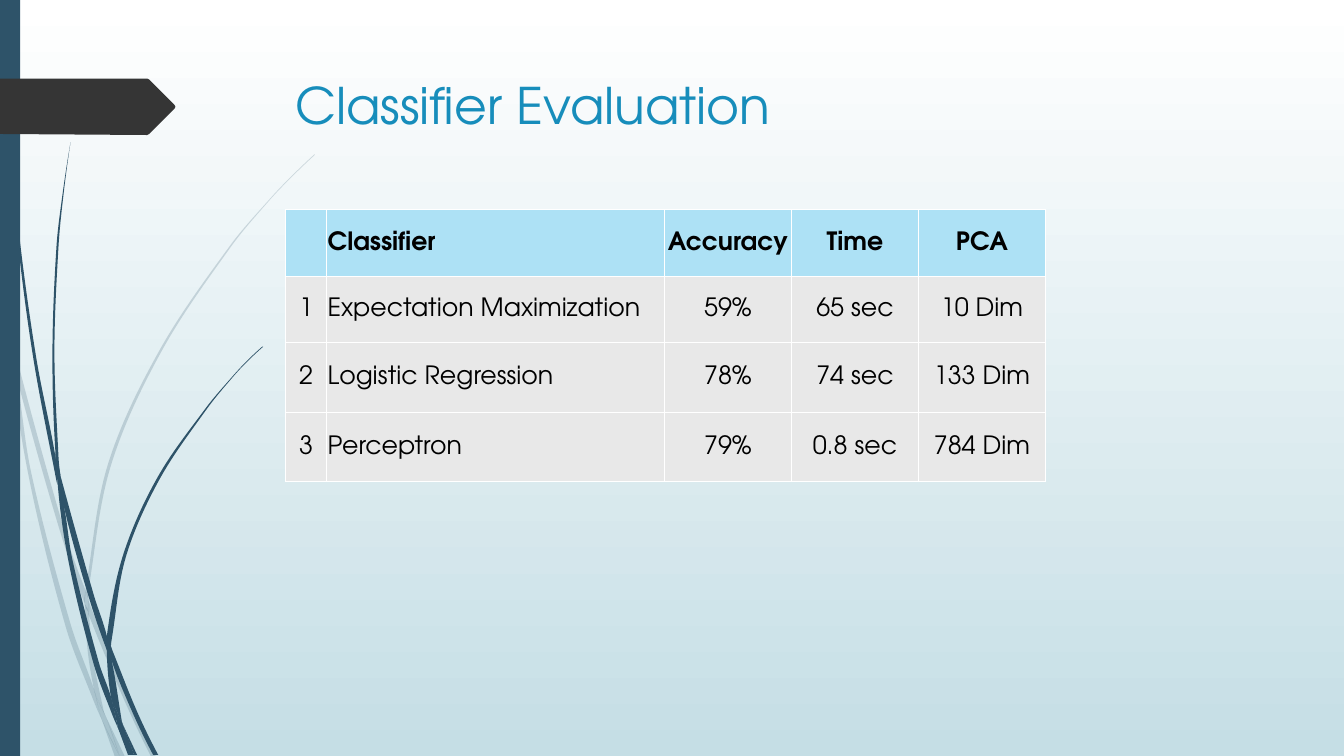
from math import dist

from lxml import etree
from pptx import Presentation
from pptx.dml.color import RGBColor
from pptx.enum.shapes import MSO_SHAPE
from pptx.enum.text import MSO_ANCHOR, PP_ALIGN
from pptx.oxml.ns import qn
from pptx.util import Inches, Pt

RECT = MSO_SHAPE.RECTANGLE
MIDDLE, TOP = MSO_ANCHOR.MIDDLE, MSO_ANCHOR.TOP
LEFT, CENTER = PP_ALIGN.LEFT, PP_ALIGN.CENTER
WIDE, HIGH = 13.33, 7.5
FONT = "TeX Gyre Adventor"
NAVY, COAL, BLUE, SKY, GREY = "2E5369", "353535", "178DBB", "ADE1F5", "E8E8E8"
WHITE, BLACK, MIST = "FFFFFF", "000000", "C5DEE5"

# Each blade of grass: its two edges, both read in the same direction
PALE = [
    ([(0, 2.82), (0.09, 3.22), (0.11, 3.5)], [(0, 2.99), (0.1, 3.44), (0.11, 3.5)]),
    ([(0.14, 3.45), (0.62, 5.2), (0.85, 5.86)], [(0.17, 3.76), (0.58, 5.22), (0.84, 5.99)]),
    ([(0.88, 5.96), (0.92, 6.07), (1.27, 6.92), (1.55, 7.51)],
     [(0.88, 6.1), (1.23, 6.94), (1.5, 7.51)]),
    ([(1.05, 7.11), (1.24, 7.51)], [(1.05, 7.11), (1.19, 7.51)]),
    ([(0.11, 3.5), (0.17, 3.76), (0.31, 4.69), (0.7, 6.19), (0.93, 6.83), (0.99, 7.07), (1.01, 7.14)],
     [(0.11, 3.5), (0.28, 4.7), (0.65, 6.21), (0.92, 6.93), (1.01, 7.14)]),
    ([(0.84, 5.99), (0.88, 6.08), (0.91, 6.46), (1.03, 7.06), (1.05, 7.11)],
     [(0.84, 5.99), (0.87, 6.46), (0.93, 6.83), (0.96, 6.92), (1.05, 7.11)]),
    ([(3.12, 1.54), (2.9, 1.75), (2.68, 1.98), (2.29, 2.45), (1.6, 3.49), (1.1, 4.62),
      (0.88, 5.84), (0.88, 5.96)],
     [(3.12, 1.53), (2.89, 1.75), (2.68, 1.97), (2.28, 2.44), (1.58, 3.48), (1.07, 4.61),
      (0.85, 5.84), (0.85, 5.86)]),
    ([(1.01, 7.14), (1.19, 7.51)], [(1.01, 7.14), (1.14, 7.51)]),
    ([(0.85, 5.86), (0.88, 5.96), (0.88, 6.1)], [(0.85, 5.86), (0.84, 5.99), (0.88, 6.08)]),
    ([(0.93, 6.83), (0.96, 6.92), (1.05, 7.11), (1.19, 7.51)],
     [(0.93, 6.83), (0.99, 7.07), (1.01, 7.14), (1.19, 7.51)]),
]
DARK = [
    ([(0.04, 0), (0.05, 0.48), (0.08, 1.09), (0.19, 2.32), (0.36, 3.55), (0.55, 4.53), (0.57, 4.81)],
     [(0.03, 0), (0.04, 0.48), (0.07, 1.1), (0.17, 2.33), (0.33, 3.55), (0.56, 4.77), (0.57, 4.81)]),
    ([(0.6, 4.72), (0.93, 5.9), (1.06, 6.31), (1.06, 6.45)],
     [(0.6, 4.72), (0.64, 5.05), (0.88, 5.92), (1.06, 6.45)]),
    ([(1.1, 6.41), (1.13, 6.49), (1.36, 7.06), (1.57, 7.49)],
     [(1.1, 6.41), (1.11, 6.56), (1.32, 7.08), (1.52, 7.49)]),
    ([(0.57, 4.77), (0.64, 5.05), (0.72, 5.56), (0.98, 6.57), (1.1, 6.91), (1.16, 7.17), (1.17, 7.22)],
     [(0.57, 4.77), (0.68, 5.57), (0.93, 6.59), (1.11, 7.08), (1.17, 7.22)]),
    ([(0.7, 1.41), (0.63, 1.93), (0.58, 2.45), (0.54, 3.49), (0.58, 4.53), (0.6, 4.72)],
     [(0.7, 1.41), (0.62, 1.93), (0.56, 2.45), (0.52, 3.49), (0.55, 4.49), (0.6, 4.72)]),
    ([(1.22, 7.19), (1.36, 7.49)], [(1.22, 7.19), (1.33, 7.49)]),
    ([(0.55, 4.49), (0.6, 4.72), (0.64, 5.05)], [(0.55, 4.49), (0.57, 4.77), (0.64, 5.05)]),
    ([(2.61, 3.44), (2.45, 3.59), (2.31, 3.74), (2.05, 4.06), (1.58, 4.76), (1.25, 5.52),
      (1.11, 6.33), (1.1, 6.41)],
     [(2.6, 3.44), (2.45, 3.58), (2.31, 3.73), (2.04, 4.05), (1.56, 4.74), (1.22, 5.51),
      (1.06, 6.31), (1.1, 6.41)]),
    ([(1.17, 7.22), (1.31, 7.49)], [(1.17, 7.22), (1.27, 7.49)]),
    ([(1.06, 6.45), (1.11, 6.56), (1.21, 7.16), (1.22, 7.19)],
     [(1.06, 6.45), (1.1, 6.91), (1.16, 7.06), (1.22, 7.19)]),
    ([(1.06, 6.31), (1.1, 6.41), (1.11, 6.56)], [(1.06, 6.31), (1.06, 6.45), (1.11, 6.56)]),
    ([(1.1, 6.91), (1.16, 7.06), (1.22, 7.19), (1.33, 7.49)],
     [(1.1, 6.91), (1.16, 7.17), (1.17, 7.22), (1.3, 7.49)]),
]
ARROW = [(0, 0.78), (1.46, 0.78), (1.48, 0.79), (1.73, 1.04), (1.74, 1.06),
         (1.73, 1.08), (1.48, 1.33), (1.46, 1.34), (0, 1.33)]
ROWS = [
    ["", "Classifier", "Accuracy", "Time", "PCA"],
    ["1", "Expectation Maximization", "59%", "65 sec", "10 Dim"],
    ["2", "Logistic Regression", "78%", "74 sec", "133 Dim"],
    ["3", "Perceptron", "79%", "0.8 sec", "784 Dim"],
]
COLS = [0.41, 3.35] + [1.26] * 3
TALL = [0.66] * 2 + [0.69] * 2


def tint(hue):
    return RGBColor.from_string(hue)


def paint(shape, hue, alpha=100):
    """Flat fill, no line or shadow; alpha is the opacity in percent."""
    shape.shadow.inherit = False
    shape.line.fill.background()
    shape.fill.solid()
    shape.fill.fore_color.rgb = tint(hue)
    if alpha < 100:
        clr = shape.fill._xPr.find(".//" + qn("a:srgbClr"))
        etree.SubElement(clr, qn("a:alpha"), val=str(alpha * 1000))


def write(para, text, size, hue, bold=False):
    run = para.add_run()
    run.text = text
    run.font.name, run.font.size, run.font.bold = FONT, Pt(size), bold
    run.font.color.rgb = tint(hue)


def mix(a, b, k):
    """The point a moved by k times b."""
    return a[0] + k * b[0], a[1] + k * b[1]


def bend(knots):
    """Bezier triples (two handles and an end) of a smooth curve."""
    gaps = [dist(a, b) for a, b in zip(knots, knots[1:])]
    dirs = [mix((0, 0), mix(b, a, -1), 1 / g)
            for a, b, g in zip(knots, knots[1:], gaps)]
    mids = [mix(mix((0, 0), u, g / (g + h)), v, h / (g + h))
            for u, v, g, h in zip(dirs, dirs[1:], gaps, gaps[1:])]
    if mids:
        first, last = (mix(mix(d, d, 1), m, -1)
                       for d, m in ((dirs[0], mids[0]), (dirs[-1], mids[-1])))
    else:
        first = last = dirs[0]
    ways = [first, *mids, last]
    return [(mix(a, u, g / 3), mix(b, v, -g / 3), b)
            for a, b, u, v, g in zip(knots, knots[1:], ways, ways[1:], gaps)]


def outline(slide, dots):
    dots = [(Inches(x), Inches(y)) for x, y in dots]
    form = slide.shapes.build_freeform(*dots[0])
    form.add_line_segments(dots[1:])
    return form.convert_to_shape()


def blade(slide, edges, alpha):
    down, back = edges[0], edges[1][::-1]
    link = [] if down[-1] == back[0] else [None]
    arcs = bend(down) + link + bend(back)
    shape = outline(slide, down + (back if link else back[1:]))
    lines = shape._element.findall(".//" + qn("a:lnTo"))
    for line, arc in zip(lines, arcs):
        if arc:
            line.tag = qn("a:cubicBezTo")
            line.clear()
            for x, y in arc:
                etree.SubElement(line, qn("a:pt"), x=str(Inches(x) - shape.left),
                                 y=str(Inches(y) - shape.top))
    paint(shape, NAVY, alpha)


def decor(slide):
    """Gradient, grass, side bar and arrow tag."""
    fill = slide.background.fill
    fill.gradient()
    fill.gradient_angle = 270
    for stop, hue, at in zip(fill.gradient_stops, (WHITE, MIST), (0, 1)):
        stop.color.rgb = tint(hue)
        stop.position = at
    for group, alpha in ((PALE, 20), (DARK, 100)):
        for edges in group:
            blade(slide, edges, alpha)
    paint(slide.shapes.add_shape(RECT, 0, 0, Inches(0.2), Inches(HIGH)), NAVY)
    paint(outline(slide, ARROW), COAL)


def title(slide, box, text):
    frame = slide.shapes.add_textbox(*map(Inches, box)).text_frame
    frame.word_wrap = True
    frame.vertical_anchor = TOP
    write(frame.paragraphs[0], text, 36, BLUE)


def border(cell, hue):
    props = cell._tc.get_or_add_tcPr()
    for side in "LRTB":
        line = etree.SubElement(props, qn("a:ln" + side), w=str(Pt(1)))
        fill = etree.SubElement(line, qn("a:solidFill"))
        etree.SubElement(fill, qn("a:srgbClr"), val=hue)


def grid(slide, left, top):
    box = map(Inches, (left, top, sum(COLS), sum(TALL)))
    table = slide.shapes.add_table(len(ROWS), len(COLS), *box).table
    table.horz_banding = False
    for col, wide in zip(table.columns, COLS):
        col.width = Inches(wide)
    for i, (row, tall) in enumerate(zip(ROWS, TALL)):
        table.rows[i].height = Inches(tall)
        for j, text in enumerate(row):
            cell = table.cell(i, j)
            border(cell, WHITE)
            cell.fill.solid()
            cell.fill.fore_color.rgb = tint(GREY if i else SKY)
            cell.vertical_anchor = MIDDLE
            cell.margin_left = cell.margin_right = cell.margin_top = Inches(0.01)
            cell.margin_bottom = 0
            para = cell.text_frame.paragraphs[0]
            para.alignment = LEFT if j == 1 else CENTER
            if text:
                write(para, text, 18, BLACK, i == 0)


def main():
    deck = Presentation()
    deck.slide_width, deck.slide_height = Inches(WIDE), Inches(HIGH)
    slide = deck.slides.add_slide(deck.slide_layouts[6])
    decor(slide)
    title(slide, (2.83, 0.69, 9.75, 1.4), "Classifier Evaluation")
    grid(slide, 2.83, 2.08)
    deck.save("out.pptx")


if __name__ == "__main__":
    main()
